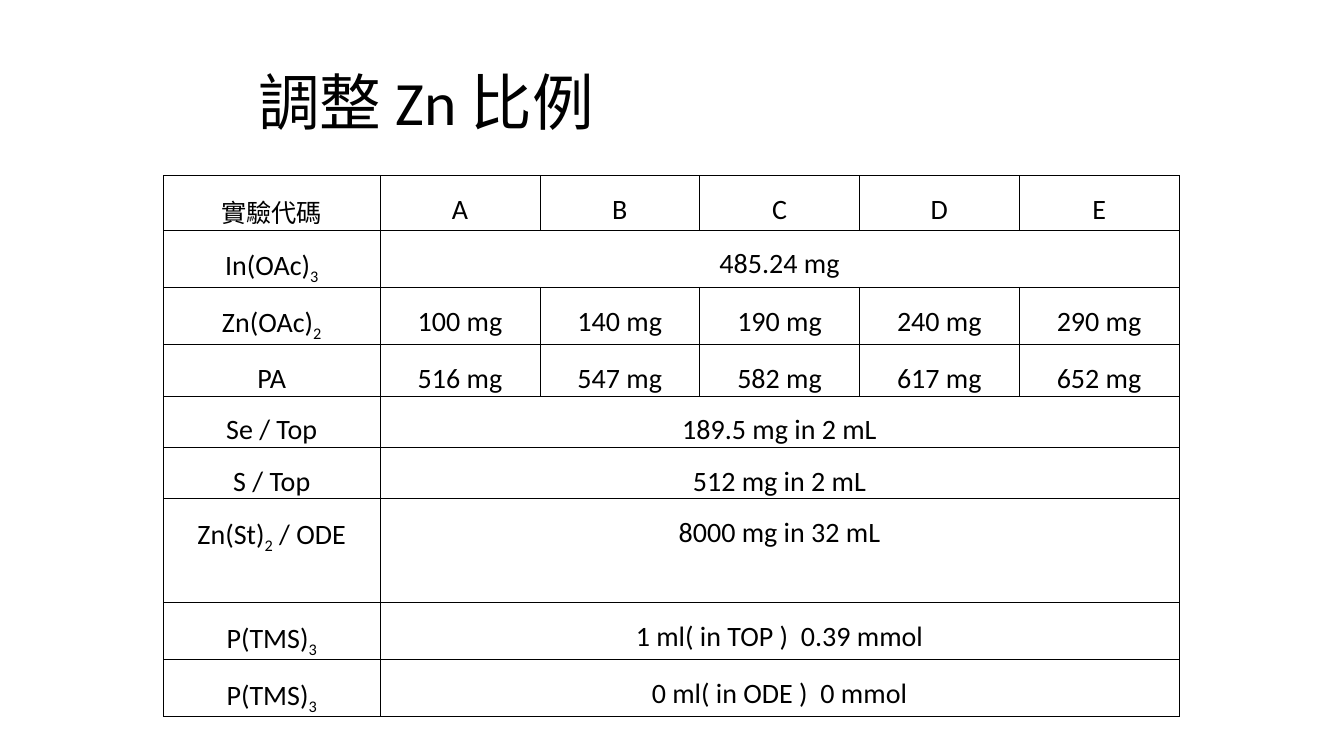
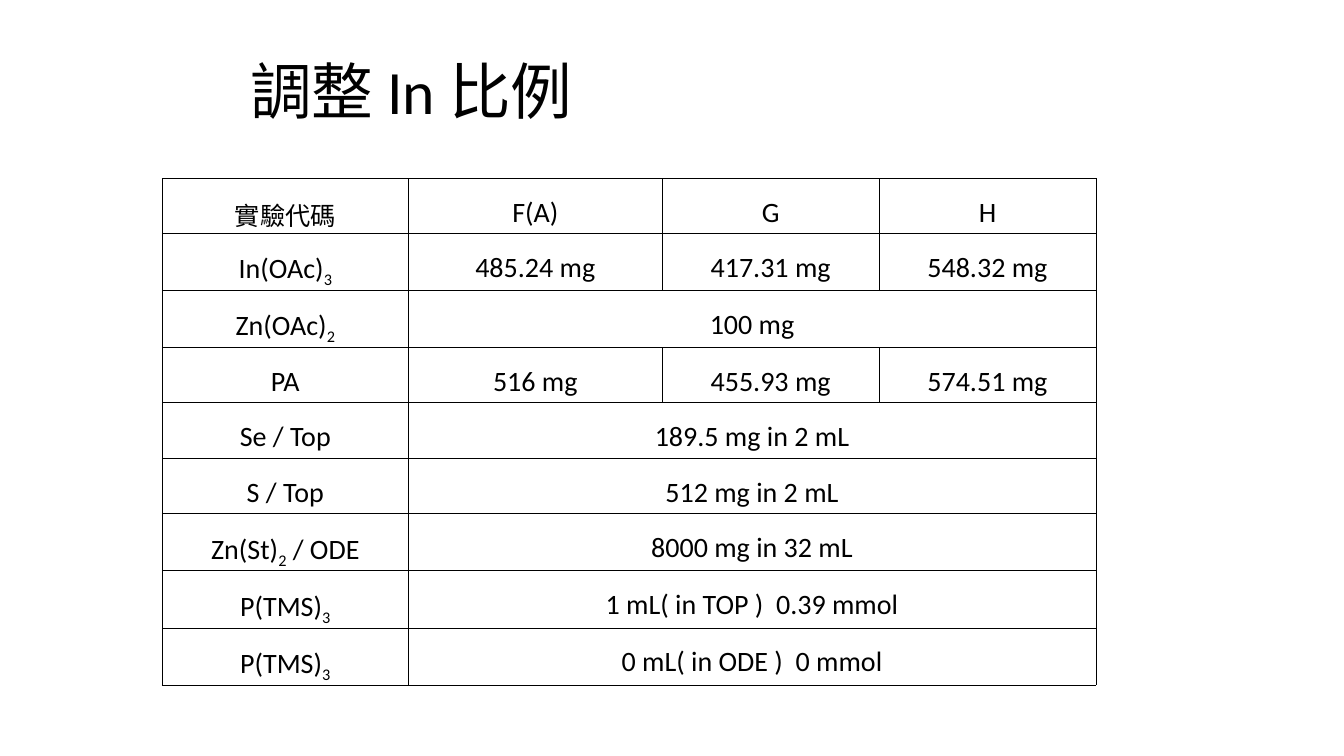
from dataclasses import dataclass
from typing import NamedTuple

from lxml.etree import SubElement
from pptx import Presentation
from pptx.dml.color import RGBColor
from pptx.enum.text import MSO_ANCHOR, MSO_AUTO_SIZE, PP_ALIGN
from pptx.oxml.ns import qn
from pptx.util import Inches, Pt

BLACK = RGBColor(0x00, 0x00, 0x00)
FONT = "Calibri"
TITLE_SIZE = Pt(44)
HEADER_LABEL_SIZE = Pt(18)
CELL_SIZE = Pt(20)
BORDER_WIDTH = Pt(0.5)
SUBSCRIPT = "-25000"
TITLE_ONLY = 5


class Label(NamedTuple):
    base: str
    index: str = ""
    tail: str = ""


@dataclass(frozen=True)
class Experiment:
    title: str
    title_at: tuple[float, float]
    table_at: tuple[float, float]
    widths: list[float]
    heights: list[float]
    values: list[list[str]]


LABELS = [
    Label("實驗代碼"),
    Label("In(OAc)", "3"),
    Label("Zn(OAc)", "2"),
    Label("PA"),
    Label("Se / Top"),
    Label("S / Top"),
    Label("Zn(St)", "2", " / ODE"),
    Label("P(TMS)", "3"),
    Label("P(TMS)", "3"),
]

SHELL_VALUES = [["189.5 mg in 2 mL"], ["512 mg in 2 mL"], ["8000 mg in 32 mL"]]

EXPERIMENTS = [
    Experiment(
        "調整 Zn 比例", (2.46, 0.67), (1.62, 1.74),
        [2.15] + [1.585] * 5,
        [0.49] * 6 + [1.03] + [0.49] * 2,
        [
            ["A", "B", "C", "D", "E"],
            ["485.24 mg"],
            ["100 mg", "140 mg", "190 mg", "240 mg", "290 mg"],
            ["516 mg", "547 mg", "582 mg", "617 mg", "652 mg"],
            *SHELL_VALUES,
            ["1 ml( in TOP )  0.39 mmol"],
            ["0 ml( in ODE )  0 mmol"],
        ],
    ),
    Experiment(
        "調整 In 比例", (2.38, 0.56), (1.61, 1.77),
        [2.44, 2.52, 2.15, 2.15],
        [0.51] + [0.55] * 8,
        [
            ["F(A)", "G", "H"],
            ["485.24 mg", "417.31 mg", "548.32 mg"],
            ["100 mg"],
            ["516 mg", "455.93 mg", "574.51 mg"],
            *SHELL_VALUES,
            ["1 mL( in TOP )  0.39 mmol"],
            ["0 mL( in ODE )  0 mmol"],
        ],
    ),
]


def set_font(para, size: Pt) -> None:
    para.font.name = FONT
    para.font.size = size
    para.font.color.rgb = BLACK


def add_title(page, experiment: Experiment) -> None:
    box = page.shapes.title
    box.left, box.top = map(Inches, experiment.title_at)
    box.width, box.height = Inches(10), Inches(1.45)
    frame = box.text_frame
    frame.text = experiment.title
    frame.vertical_anchor = MSO_ANCHOR.TOP
    frame.auto_size = MSO_AUTO_SIZE.NONE
    para = frame.paragraphs[0]
    para.alignment = PP_ALIGN.LEFT
    para.line_spacing = 0.9
    set_font(para, TITLE_SIZE)


def style_cell(cell) -> None:
    cell.margin_left = cell.margin_right = Inches(0.07)
    cell.margin_top = cell.margin_bottom = 0
    cell.vertical_anchor = MSO_ANCHOR.TOP
    properties = cell._tc.get_or_add_tcPr()
    for side in ("lnL", "lnR", "lnT", "lnB"):
        line = SubElement(properties, qn(f"a:{side}"), w=str(BORDER_WIDTH))
        fill = SubElement(line, qn("a:solidFill"))
        SubElement(fill, qn("a:srgbClr"), val=str(BLACK))
    cell.fill.background()


def write_cell(cell, label: Label, size: Pt = CELL_SIZE) -> None:
    para = cell.text_frame.paragraphs[0]
    para.alignment = PP_ALIGN.CENTER
    para.line_spacing = 1.5
    set_font(para, size)
    for text in filter(None, label):
        span = para.add_run()
        span.text = text
        if text == label.index:
            span._r.get_or_add_rPr().set("baseline", SUBSCRIPT)


def add_recipe_table(page, experiment: Experiment) -> None:
    left, top = map(Inches, experiment.table_at)
    width, height = Inches(sum(experiment.widths)), Inches(sum(experiment.heights))
    table = page.shapes.add_table(
        len(LABELS), len(experiment.widths), left, top, width, height
    ).table
    table.first_row = table.horz_banding = False
    for column, column_width in zip(table.columns, experiment.widths):
        column.width = Inches(column_width)
    for row, row_height in zip(table.rows, experiment.heights):
        row.height = Inches(row_height)
    for cell in table.iter_cells():
        style_cell(cell)
    last = len(experiment.widths) - 1
    for row, (label, values) in enumerate(zip(LABELS, experiment.values)):
        write_cell(table.cell(row, 0), label, CELL_SIZE if row else HEADER_LABEL_SIZE)
        if len(values) == 1:
            table.cell(row, 1).merge(table.cell(row, last))
        for column, value in enumerate(values, start=1):
            write_cell(table.cell(row, column), Label(value))


def main() -> None:
    deck = Presentation()
    deck.slide_width, deck.slide_height = Inches(13.33), Inches(7.5)
    for experiment in EXPERIMENTS:
        page = deck.slides.add_slide(deck.slide_layouts[TITLE_ONLY])
        add_title(page, experiment)
        add_recipe_table(page, experiment)
    deck.save("out.pptx")


if __name__ == "__main__":
    main()
